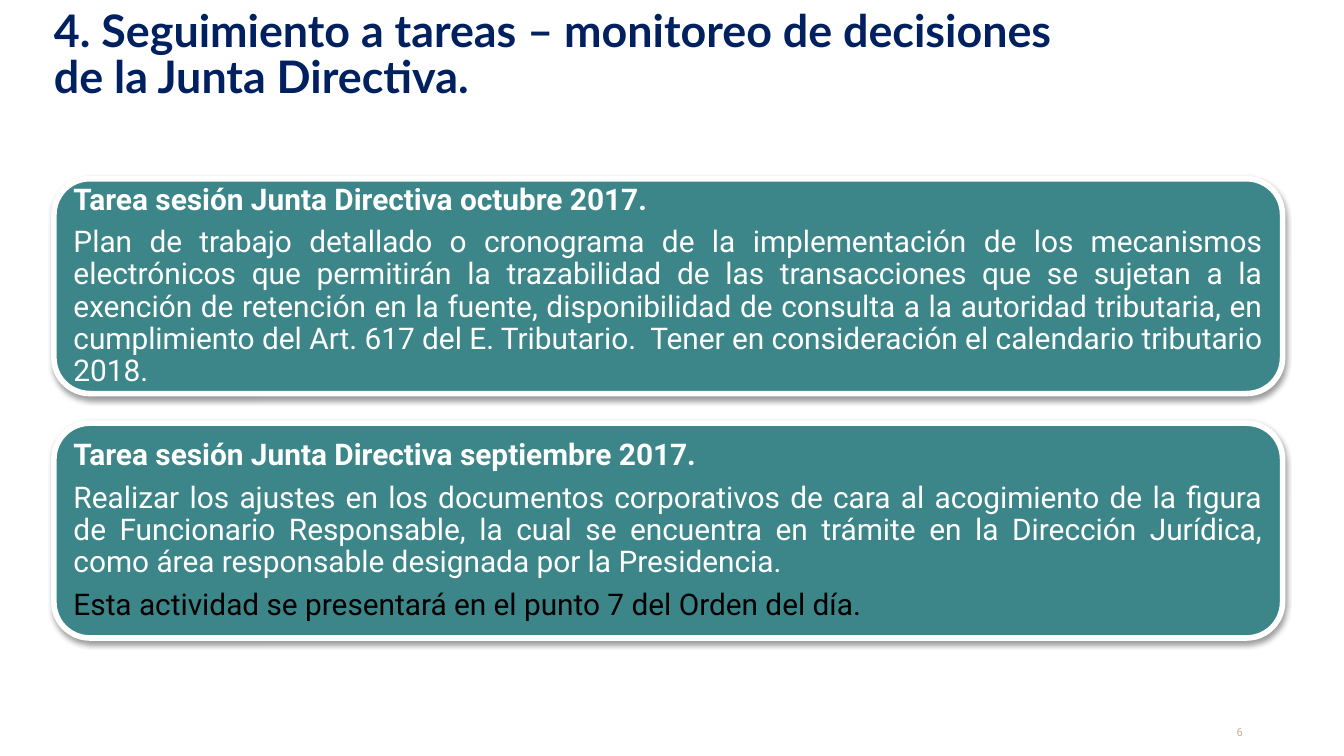
from lxml.etree import SubElement
from pptx import Presentation
from pptx.dml.color import RGBColor
from pptx.enum.shapes import MSO_SHAPE
from pptx.enum.text import MSO_ANCHOR, PP_ALIGN
from pptx.oxml.ns import qn
from pptx.util import Cm, Pt

NAVY = RGBColor(0x00, 0x20, 0x60)
TEAL = RGBColor(0x3C, 0x86, 0x89)
SAND = RGBColor(0xBC, 0xB2, 0x96)
WHITE = RGBColor(0xFF, 0xFF, 0xFF)
BLACK = RGBColor(0x00, 0x00, 0x00)

TASKS = [
    (
        ("Tarea sesión Junta Directiva octubre 2017.", True, WHITE),
        (
            "Plan de trabajo detallado o cronograma de la implementación de los "
            "mecanismos electrónicos que permitirán la trazabilidad de las "
            "transacciones que se sujetan a la exención de retención en la fuente, "
            "disponibilidad de consulta a la autoridad tributaria, en cumplimiento "
            "del Art. 617 del E. Tributario.  Tener en consideración el calendario "
            "tributario 2018.",
            False,
            WHITE,
        ),
    ),
    (
        ("Tarea sesión Junta Directiva septiembre 2017.", True, WHITE),
        (
            "Realizar los ajustes en los documentos corporativos de cara al "
            "acogimiento de la figura de Funcionario Responsable, la cual se "
            "encuentra en trámite en la Dirección Jurídica, como área responsable "
            "designada por la Presidencia.",
            False,
            WHITE,
        ),
        ("Esta actividad se presentará en el punto 7 del Orden del día.", False, BLACK),
    ),
]


def add_frame(shapes, box, anchor, inset=0):
    frame = shapes.add_textbox(*map(Cm, box)).text_frame
    frame.word_wrap = True
    frame.vertical_anchor = anchor
    frame.margin_left = frame.margin_right = Cm(inset)
    frame.margin_top = frame.margin_bottom = Cm(inset)
    return frame


def write(frame, text, *, size, color, font="Roboto", bold=False,
          align=PP_ALIGN.LEFT, line_spacing=1.0, space_after=0):
    first = frame.paragraphs[0]
    paragraph = frame.add_paragraph() if first.runs else first
    paragraph.alignment = align
    paragraph.line_spacing = line_spacing
    paragraph.space_after = Pt(space_after)
    run = paragraph.add_run()
    run.text = text
    run.font.name = font
    run.font.size = Pt(size)
    run.font.bold = bold
    run.font.color.rgb = color


def cast_shadow(panel):
    panel.shadow.inherit = False
    effects = panel.element.spPr.find(qn("a:effectLst"))
    shadow = SubElement(
        effects, qn("a:outerShdw"), blurRad=str(Pt(3.1)), dist=str(Pt(1.6)),
        dir="5400000", algn="ctr", rotWithShape="0",
    )
    tint = SubElement(shadow, qn("a:srgbClr"), val=str(BLACK))
    SubElement(tint, qn("a:alpha"), val="38000")


def add_heading(slide, box):
    heading = add_frame(slide.shapes, box, MSO_ANCHOR.MIDDLE)
    write(
        heading,
        "4. Seguimiento a tareas – monitoreo de decisiones de la Junta Directiva.",
        size=24, color=NAVY, font="Lato", bold=True, line_spacing=0.85,
    )


def add_task(slide, box, paragraphs):
    left, top, width, height = box
    margin = 0.2
    task = slide.shapes.add_group_shape()
    panel = task.shapes.add_shape(MSO_SHAPE.ROUNDED_RECTANGLE, *map(Cm, box))
    panel.fill.solid()
    panel.fill.fore_color.rgb = TEAL
    panel.line.color.rgb = WHITE
    panel.line.width = Pt(3)
    cast_shadow(panel)
    inner_box = (left + margin, top + margin, width - 2 * margin, height - 2 * margin)
    description = add_frame(task.shapes, inner_box, MSO_ANCHOR.MIDDLE, inset=0.17)
    for text, bold, color in paragraphs:
        write(
            description, text, size=16, color=color, bold=bold,
            align=PP_ALIGN.JUSTIFY, line_spacing=0.9, space_after=5.6,
        )


def add_page_number(slide, box):
    page_number = add_frame(slide.shapes, box, MSO_ANCHOR.BOTTOM)
    write(page_number, "6", size=6, color=SAND, align=PP_ALIGN.RIGHT)


def main():
    presentation = Presentation()
    presentation.slide_width = Cm(25.4)
    presentation.slide_height = Cm(14.29)
    slide = presentation.slides.add_slide(presentation.slide_layouts[6])

    left, task_top, task_pitch = 1.02, 3.38, 4.62
    add_page_number(slide, (22.68, 13.72, 0.81, 0.25))
    add_heading(slide, (left, 0.2, 19.3, 1.75))
    for index, paragraphs in enumerate(TASKS):
        add_task(slide, (left, task_top + index * task_pitch, 23.22, 4.06), paragraphs)

    presentation.save("out.pptx")


if __name__ == "__main__":
    main()
